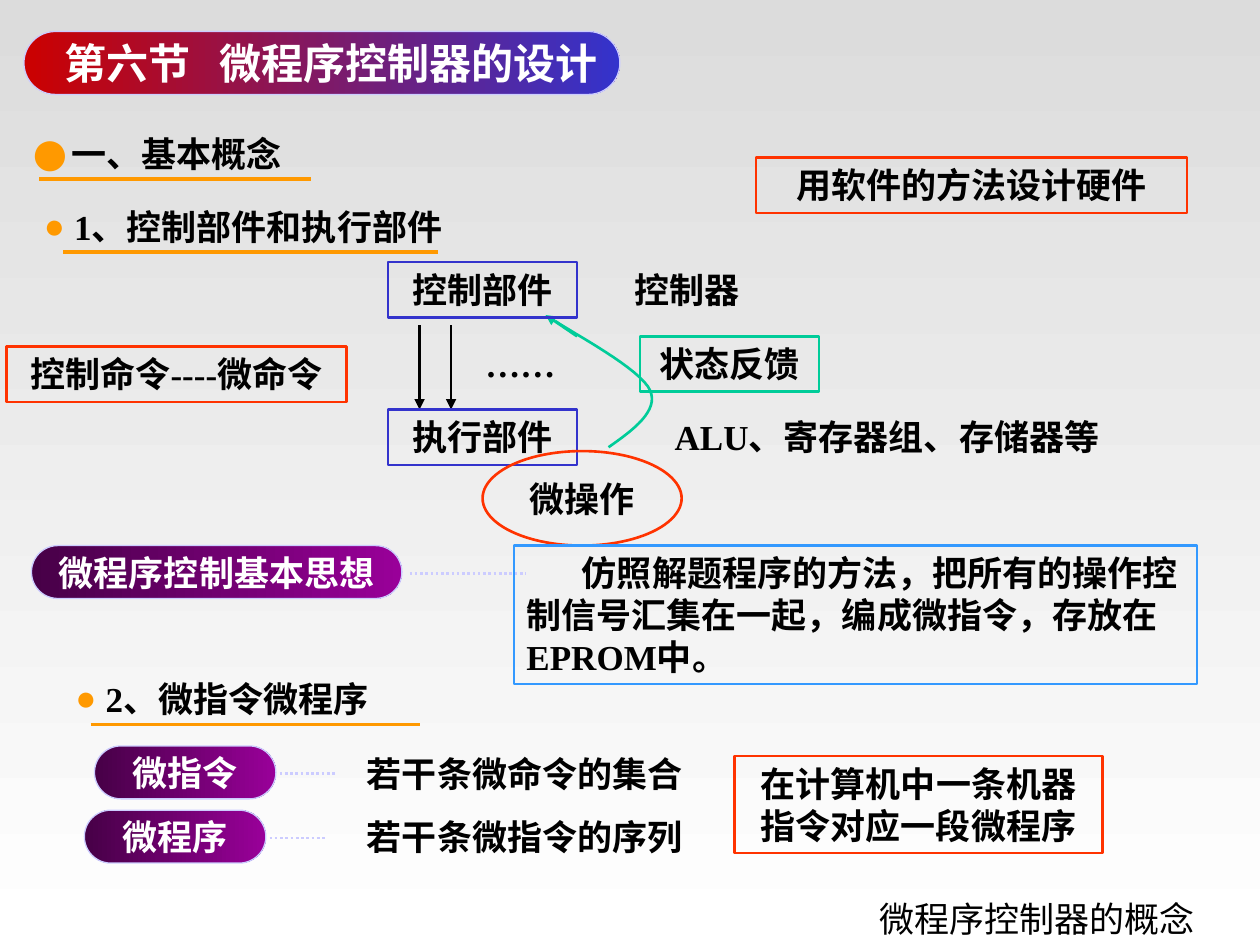
from dataclasses import dataclass
from typing import Any, Optional

from lxml.etree import SubElement as Sub
from pptx import Presentation as Deck
from pptx.dml.color import RGBColor as RGB
from pptx.enum.dml import MSO_LINE as Dash
from pptx.enum.shapes import MSO_CONNECTOR as Link, MSO_SHAPE as Form
from pptx.enum.text import MSO_ANCHOR as Anchor, PP_ALIGN as Align
from pptx.oxml.ns import qn
from pptx.util import Inches, Pt

BLACK = RGB(0x00, 0x00, 0x00)
WHITE = RGB(0xFF, 0xFF, 0xFF)
GREY = RGB(0xDC, 0xDC, 0xDC)
ORANGE = RGB(0xFF, 0x99, 0x00)
RED = RGB(0xFF, 0x33, 0x00)
CRIMSON = RGB(0xCC, 0x00, 0x00)
BLUE = RGB(0x33, 0x33, 0xCC)
SKY = RGB(0x33, 0x99, 0xFF)
GREEN = RGB(0x00, 0xCC, 0x99)
LILAC = RGB(0xCC, 0xCC, 0xFF)
PLUM = RGB(0x47, 0x00, 0x47)
PURPLE = RGB(0x99, 0x00, 0x99)

ROW = 0.44
FONT = {"name": "Times New Roman", "size": Pt(20), "bold": True}
FRAME = {"word_wrap": True, "vertical_anchor": Anchor.TOP}
PAD = {"margin_left": Inches(0.1), "margin_right": Inches(0.1),
       "margin_top": Inches(0.05), "margin_bottom": Inches(0.05)}
FLUSH = dict.fromkeys(PAD, 0)
MIDDLE = {"word_wrap": False, "vertical_anchor": Anchor.MIDDLE}


@dataclass
class Box:
    text: str
    left: float
    top: float
    width: float
    height: float = ROW
    edge: Optional[RGB] = None
    form: Any = Form.RECTANGLE
    align: Any = Align.CENTER
    indent: float = 0


@dataclass
class Pill:
    text: str
    left: float
    top: float
    width: float
    dots: tuple[float, float]


@dataclass
class Head:
    text: str
    left: float
    top: float
    width: float
    hang: float
    scale: int
    rule: tuple[float, float]


BOXES = [
    Box("用软件的方法设计硬件", 6, 1.25, 3.42, edge=RED),
    Box("控制器", 4.83, 2.08, 1.25),
    Box("控制部件", 3.08, 2.08, 1.5, edge=BLUE),
    Box("执行部件", 3.08, 3.25, 1.5, edge=BLUE),
    Box("ALU、寄存器组、存储器等", 5, 3.25, 4.08),
    Box("控制命令----微命令", 0.05, 2.75, 2.7, edge=RED),
    Box("微操作", 3.83, 3.58, 1.58, 0.75, RED, Form.OVAL),
    Box("状态反馈", 5.08, 2.67, 1.42, edge=GREEN),
    Box("……", 3.67, 2.67, 0.92),
    Box("若干条微命令的集合", 2.75, 5.92, 2.83),
    Box("若干条微指令的序列", 2.75, 6.42, 2.83),
    Box("在计算机中一条机器指令对应一段微程序", 5.83, 6, 2.92, 0.77, RED),
    Box("仿照解题程序的方法，把所有的操作控制信号汇集在一起，编成微指令，存放在EPROM中。",
        4.08, 4.33, 5.42, 1.1, SKY, align=Align.LEFT, indent=0.44),
]
PILLS = [
    Pill("微程序控制基本思想", 0.25, 4.33, 2.94, (3.25, 4.17)),
    Pill("微指令", 0.75, 5.92, 1.44, (2.22, 2.67)),
    Pill("微程序", 0.67, 6.43, 1.44, (2.14, 2.59)),
]
HEADS = [
    Head("一、基本概念", 0.13, 1, 3.25, 0.33, 200, (0.31, 2.47)),
    Head("1、控制部件和执行部件", 0.25, 1.58, 4.48, 0.24, 100, (0.5, 3.48)),
    Head("2、微指令微程序", 0.5, 5.33, 3.92, 0.24, 100, (0.72, 3.33)),
]
CURVE = [
    ((4.83, 3.55), (5.03, 3.41), (5.23, 3.26), (5.16, 3.1)),
    ((5.16, 3.1), (5.09, 2.93), (4.54, 2.64), (4.41, 2.55)),
]


def style(item: Any, *sets: dict) -> None:
    for vals in sets:
        for key, val in vals.items():
            setattr(item, key, val)


def blend(fill: Any, first: RGB, last: RGB, angle: float) -> None:
    fill.gradient()
    fill.gradient_angle = angle
    for stop, color in zip(fill.gradient_stops, (first, last)):
        stop.color.rgb = color


def stroke(line: Any, color: RGB, width: float) -> None:
    line.color.rgb = color
    line.width = Pt(width)


def write(frame: Any, text: str, color: RGB = BLACK, align: Any = Align.CENTER) -> Any:
    para = frame.paragraphs[0]
    para.alignment = align
    run = para.add_run()
    run.text = text
    style(run.font, FONT)
    run.font.color.rgb = color
    return para


def draw_box(shapes: Any, box: Box) -> None:
    area = [Inches(n) for n in (box.left, box.top, box.width, box.height)]
    if box.edge is None:
        shape = shapes.add_textbox(*area)
    else:
        shape = shapes.add_shape(box.form, *area)
        shape.shadow.inherit = False
        shape.fill.background()
        stroke(shape.line, box.edge, 1.5)
    style(shape.text_frame, PAD, MIDDLE if box.form == Form.OVAL else FRAME)
    para = write(shape.text_frame, box.text, align=box.align)
    if box.indent:
        para._p.get_or_add_pPr().set("indent", str(Inches(box.indent)))


def draw_line(shapes: Any, start: tuple, end: tuple, color: RGB,
              width: float = 1.5, dash: Any = None, arrow: bool = False) -> None:
    link = shapes.add_connector(Link.STRAIGHT, *(Inches(n) for n in start + end))
    stroke(link.line, color, width)
    if dash is not None:
        link.line.dash_style = dash
    if arrow:
        Sub(link.line._get_or_add_ln(), qn("a:tailEnd"), type="triangle")
    Sub(link._element.spPr, qn("a:effectLst"))


def capsule(shapes: Any, area: tuple, first: RGB, last: RGB) -> Any:
    shape = shapes.add_shape(Form.ROUNDED_RECTANGLE, *(Inches(n) for n in area))
    shape.adjustments[0] = 0.5
    shape.shadow.inherit = False
    blend(shape.fill, first, last, 0)
    stroke(shape.line, LILAC, 0.75)
    style(shape.text_frame, FLUSH, MIDDLE)
    return shape.text_frame


def draw_pill(shapes: Any, pill: Pill) -> None:
    frame = capsule(shapes, (pill.left, pill.top, pill.width, 0.42), PLUM, PURPLE)
    write(frame, pill.text, WHITE)
    start, end = pill.dots
    mid = pill.top + 0.22
    draw_line(shapes, (start, mid), (end, mid), LILAC, dash=Dash.ROUND_DOT)


def draw_head(shapes: Any, head: Head) -> None:
    area = (head.left, head.top, head.width, ROW)
    frame = shapes.add_textbox(*(Inches(n) for n in area)).text_frame
    style(frame, PAD, FRAME)
    props = frame.paragraphs[0]._p.get_or_add_pPr()
    props.set("marL", str(Inches(head.hang)))
    props.set("indent", str(-Inches(head.hang)))
    Sub(Sub(props, qn("a:buClr")), qn("a:srgbClr"), val=str(ORANGE))
    Sub(props, qn("a:buSzPct"), val=str(head.scale * 1000))
    Sub(props, qn("a:buFont"), typeface=FONT["name"])
    Sub(props, qn("a:buChar"), char="●")
    write(frame, head.text, align=Align.LEFT)
    start, end = head.rule
    base = head.top + 0.42
    draw_line(shapes, (start, base), (end, base), ORANGE, 2.25)


def draw_curve(shapes: Any, steps: int = 16) -> None:
    dots = []
    for a, b, c, d in CURVE:
        for t in (n / steps for n in range(1, steps + 1)):
            u = 1 - t
            dots.append(tuple(
                Inches(u**3 * p + 3 * u * u * t * q + 3 * u * t * t * r + t**3 * s)
                for p, q, r, s in zip(a, b, c, d)))
    pen = shapes.build_freeform(*(Inches(n) for n in CURVE[0][0]))
    pen.add_line_segments(dots, close=False)
    shape = pen.convert_to_shape()
    shape.shadow.inherit = False
    shape.fill.background()
    stroke(shape.line, GREEN, 1.5)
    draw_line(shapes, (4.58, 2.67), (4.33, 2.5), GREEN, arrow=True)


def main() -> None:
    deck = Deck()
    style(deck, {"slide_width": Inches(10), "slide_height": Inches(7.5)})
    slide = deck.slides.add_slide(deck.slide_layouts[5])
    blend(slide.background.fill, GREY, WHITE, 270)
    shapes = slide.shapes
    title = shapes.title
    style(title, {"left": Inches(6.73), "top": Inches(7.08),
                  "width": Inches(3), "height": Inches(0.42)})
    style(title.text_frame, PAD, MIDDLE)
    write(title.text_frame, "微程序控制器的概念").runs[0].font.bold = False

    frame = capsule(shapes, (0.19, 0.25, 4.73, 0.5), CRIMSON, BLUE)
    style(frame, {"margin_left": Inches(0.25), "word_wrap": True})
    tabs = Sub(frame.paragraphs[0]._p.get_or_add_pPr(), qn("a:tabLst"))
    Sub(tabs, qn("a:tab"), pos=str(Inches(1.23)), algn="l")
    write(frame, "第六节\t微程序控制器的设计", WHITE, Align.LEFT).runs[0].font.size = Pt(24)

    for head in HEADS:
        draw_head(shapes, head)
    for pill in PILLS:
        draw_pill(shapes, pill)
    for x in (3.33, 3.58):
        draw_line(shapes, (x, 2.58), (x, 3.25), BLACK, arrow=True)
    draw_curve(shapes)
    for box in BOXES:
        draw_box(shapes, box)
    deck.save("out.pptx")


if __name__ == "__main__":
    main()
